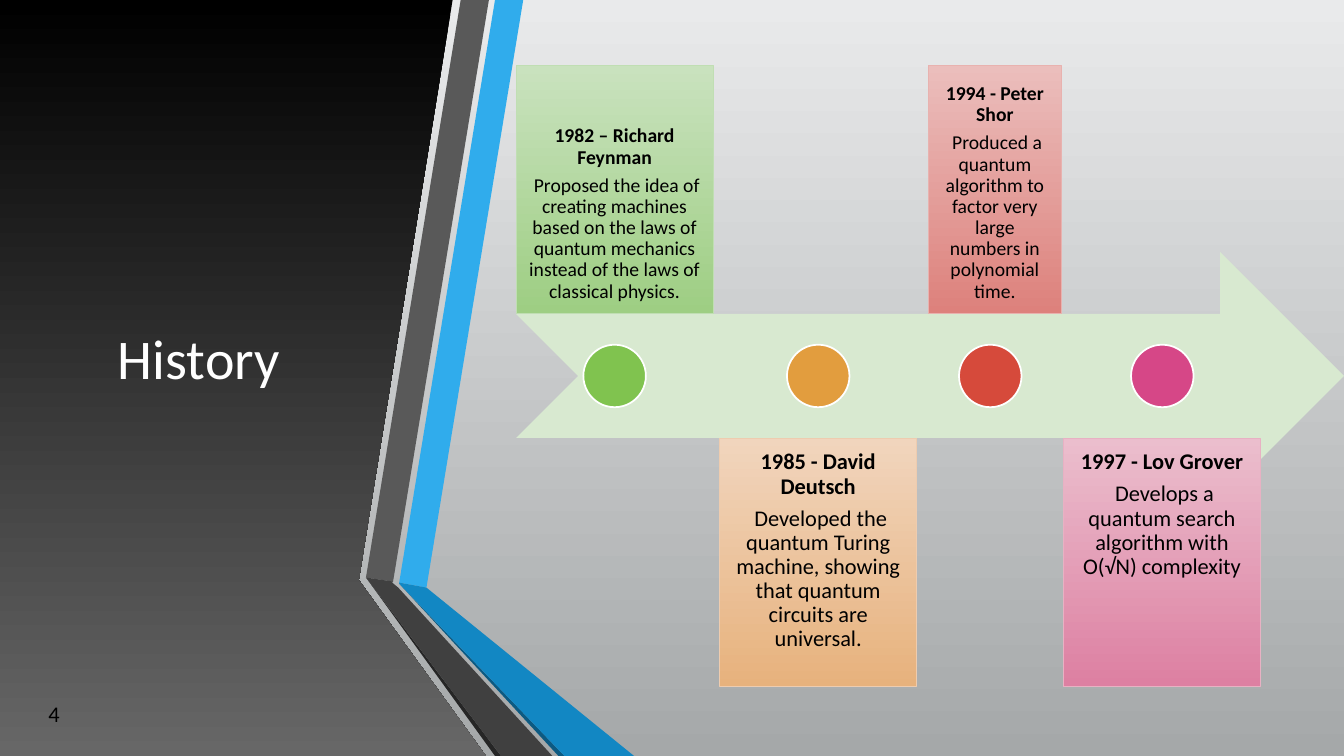
from dataclasses import dataclass

from lxml import etree
from pptx import Presentation
from pptx import util as u
from pptx.dml.color import RGBColor
from pptx.enum import shapes, text
from pptx.oxml.ns import qn

WIDTH, HEIGHT = u.Inches(13.33), u.Inches(7.5)
ARROW_LEFT, ARROW_TOP, ARROW_HEIGHT = 38.4, 33.33, 32.8
ARROW_MIDDLE = ARROW_TOP + ARROW_HEIGHT / 2
DOT_SIZE = u.Inches(0.62)
UPPER_ROW, LOWER_ROW, CARD_HEIGHT = 8.67, 58, 32.8
WIDE, NARROW = 14.66, 9.9
BACKDROP = ("E9EAEB", "A5A8A9")


@dataclass
class Band:
    fill: str | tuple[str, str]
    points: list[tuple[float, float]]


@dataclass
class Milestone:
    heading: str
    detail: str
    left: float
    width: float
    dot_centre: float
    above: bool
    gradient: tuple[str, str]
    border: str
    dot: str


BANDS = [
    Band(("000000", "676767"), [(0, 0), (33.68, 0), (26.7, 76.73), (36.15, 100), (0, 100)]),
    Band("30ACEC", [(29.7, 77.07), (31.73, 77.73), (38.93, 0), (36.83, 0)]),
    Band("595959", [(36.38, 0), (34.28, 0), (27.23, 76.4), (29.25, 76.93)]),
    Band("262626", [(27.23, 76.4), (36.83, 100), (37.28, 100)]),
    Band("0C5A82", [(29.7, 77.2), (41.55, 100), (42, 100)]),
    Band("1287C3", [(29.7, 77.2), (42, 100), (47.18, 100), (31.73, 77.73), (29.7, 77.07)]),
    Band("404040", [(41.1, 100), (29.63, 77.73), (29.18, 77.07), (29.25, 76.93),
                    (27.23, 76.4), (37.28, 100)]),
]

MILESTONES = [
    Milestone("1982 – Richard Feynman",
              "Proposed the idea of creating machines based on the laws of quantum "
              "mechanics instead of the laws of classical physics.",
              ARROW_LEFT, WIDE, 45.73, True, ("C9E2BE", "9ECE83"), "C0DEB3", "80C34F"),
    Milestone("1985 - David Deutsch",
              "Developed the quantum Turing machine, showing that quantum circuits "
              "are universal.",
              53.55, WIDE, 60.88, False, ("F1D5BD", "E7B27D"), "EECCAF", "E29D3E"),
    Milestone("1994 - Peter Shor",
              "Produced a quantum algorithm to factor very large numbers in "
              "polynomial time.",
              69.08, NARROW, 73.68, True, ("EBBEBC", "DD817C"), "E8B2AF", "D64A3B"),
    Milestone("1997 - Lov Grover",
              "Develops a quantum search algorithm with O(√N) complexity",
              79.13, WIDE, 86.48, False, ("EBBECD", "DD80A2"), "E8B1C3", "D64787"),
]


def across(share: float) -> int:
    return round(WIDTH * share / 100)


def down(share: float) -> int:
    return round(HEIGHT * share / 100)


def area(left: float, top: float, width: float, height: float) -> tuple[int, int, int, int]:
    return across(left), down(top), across(width), down(height)


def colour(value: str) -> RGBColor:
    return RGBColor.from_string(value)


def paint(fill, paint_with: str | tuple[str, str]) -> None:
    if isinstance(paint_with, str):
        fill.solid()
        fill.fore_color.rgb = colour(paint_with)
        return
    fill.gradient()
    fill.gradient_angle = 270
    for stop, value in zip(fill.gradient_stops, paint_with):
        stop.color.rgb = colour(value)


def finish(shape, fill, border: str | None = None, weight: float = 0.75):
    shape.shadow.inherit = False
    paint(shape.fill, fill)
    if border:
        shape.line.color.rgb = colour(border)
        shape.line.width = u.Pt(weight)
    else:
        shape.line.fill.background()
    return shape


def write(shape, paragraphs: list[list[tuple[str, bool]]], *, size: float,
          ink: str = "000000", align=text.PP_ALIGN.CENTER,
          anchor=text.MSO_ANCHOR.MIDDLE, inset: float | None = None,
          line_spacing: float | None = None, after: int | None = None) -> None:
    frame = shape.text_frame
    frame.word_wrap = True
    frame.vertical_anchor = anchor
    if inset is not None:
        frame.margin_left = frame.margin_right = u.Inches(inset)
        frame.margin_top = frame.margin_bottom = u.Inches(inset)
    for index, runs in enumerate(paragraphs):
        paragraph = frame.add_paragraph() if index else frame.paragraphs[0]
        paragraph.alignment = align
        if line_spacing:
            paragraph.line_spacing = line_spacing
        if after:
            spacing = etree.SubElement(paragraph._p.get_or_add_pPr(), qn("a:spcAft"))
            etree.SubElement(spacing, qn("a:spcPct"), val=str(after * 1000))
        for words, bold in runs:
            run = paragraph.add_run()
            run.text = words
            run.font.name = "Calibri"
            run.font.size = u.Pt(size)
            run.font.bold = bold
            run.font.color.rgb = colour(ink)


def draw_band(slide, band: Band) -> None:
    start, *rest = [(across(x), down(y)) for x, y in band.points]
    outline = slide.shapes.build_freeform(*start, scale=1.0)
    outline.add_line_segments(rest, close=True)
    finish(outline.convert_to_shape(), band.fill)


def draw_milestone(slide, milestone: Milestone) -> None:
    top = UPPER_ROW if milestone.above else LOWER_ROW
    card = slide.shapes.add_shape(
        shapes.MSO_SHAPE.RECTANGLE,
        *area(milestone.left, top, milestone.width, CARD_HEIGHT))
    finish(card, milestone.gradient, milestone.border)
    write(card, [[(milestone.heading, True)], [(" ", True), (milestone.detail, False)]],
          size=14 if milestone.above else 16,
          anchor=text.MSO_ANCHOR.BOTTOM if milestone.above else text.MSO_ANCHOR.TOP,
          inset=0.11 if milestone.above else 0.12, line_spacing=0.9, after=35)
    dot = slide.shapes.add_shape(
        shapes.MSO_SHAPE.OVAL,
        across(milestone.dot_centre) - DOT_SIZE // 2,
        down(ARROW_MIDDLE) - DOT_SIZE // 2, DOT_SIZE, DOT_SIZE)
    finish(dot, milestone.dot, "FFFFFF", 1.25)


def main() -> None:
    deck = Presentation()
    deck.slide_width, deck.slide_height = WIDTH, HEIGHT
    slide = deck.slides.add_slide(deck.slide_layouts[6])
    paint(slide.background.fill, BACKDROP)
    backdrop = slide.shapes.add_shape(shapes.MSO_SHAPE.RECTANGLE, *area(0, 0, 100, 100))
    finish(backdrop, BACKDROP)
    for band in BANDS:
        draw_band(slide, band)
    title = slide.shapes.add_textbox(*area(4.42, 10, 21.68, 74.4))
    write(title, [[("History ", False)]], size=40, ink="FFFFFF")
    timeline = slide.shapes.add_shape(
        shapes.MSO_SHAPE.NOTCHED_RIGHT_ARROW,
        *area(ARROW_LEFT, ARROW_TOP, 100 - ARROW_LEFT, ARROW_HEIGHT))
    finish(timeline, "D8E9D0")
    for milestone in MILESTONES:
        draw_milestone(slide, milestone)
    page_number = slide.shapes.add_textbox(*area(0.67, 91.73, 4.5, 5.33))
    write(page_number, [[("4", False)]], size=16, align=text.PP_ALIGN.RIGHT)
    deck.save("out.pptx")


if __name__ == "__main__":
    main()
